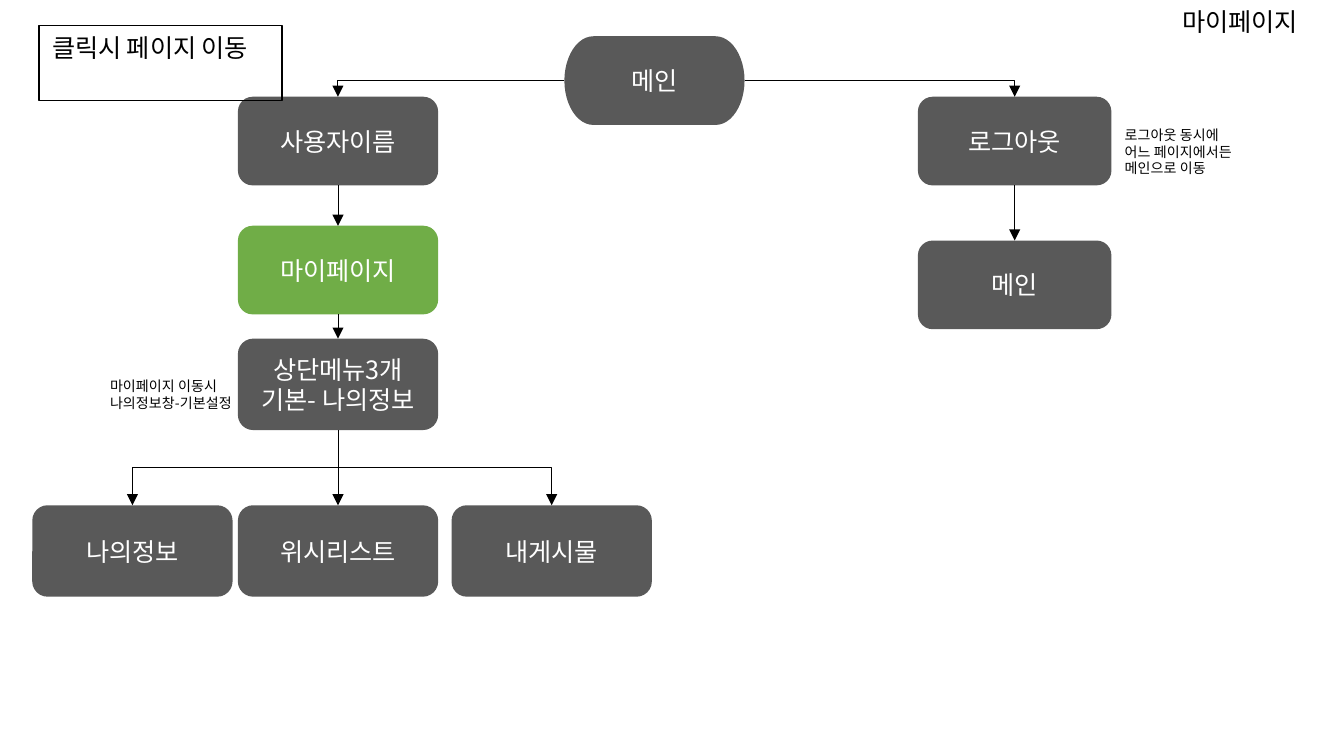
from lxml.etree import SubElement
from pptx import Presentation
from pptx.dml.color import RGBColor
from pptx.enum.shapes import MSO_CONNECTOR, MSO_SHAPE
from pptx.enum.text import MSO_ANCHOR, PP_ALIGN
from pptx.oxml.ns import qn
from pptx.util import Inches, Pt

FONT = "Noto Sans CJK KR"
GRAY = RGBColor(0x59, 0x59, 0x59)
GREEN = RGBColor(0x70, 0xAD, 0x47)
WHITE = RGBColor(0xFF, 0xFF, 0xFF)
BLACK = RGBColor(0, 0, 0)
TOP, BOTTOM = 0, 2


def write(shape, lines, size=13.5, color=BLACK, align=PP_ALIGN.LEFT):
    frame = shape.text_frame
    frame.word_wrap = True
    for i, line in enumerate(lines):
        para = frame.add_paragraph() if i else frame.paragraphs[0]
        para.alignment = align
        run = para.add_run()
        run.text = line
        run.font.size = Pt(size)
        run.font.name = FONT
        run.font.color.rgb = color
        SubElement(run.font._element, qn("a:ea")).set("typeface", FONT)


def add_node(slide, box, *lines, fill=GRAY, kind=MSO_SHAPE.ROUNDED_RECTANGLE):
    node = slide.shapes.add_shape(kind, *map(Inches, box))
    node.shadow.inherit = False
    node.fill.solid()
    node.fill.fore_color.rgb = fill
    node.line.fill.background()
    frame = node.text_frame
    frame.vertical_anchor = MSO_ANCHOR.MIDDLE
    frame.margin_left = frame.margin_right = Inches(0.07)
    frame.margin_top = frame.margin_bottom = Inches(0.04)
    write(node, lines, color=WHITE, align=PP_ALIGN.CENTER)
    return node


def add_note(slide, box, *lines, size=7.5):
    write(slide.shapes.add_textbox(*map(Inches, box)), lines, size)


def add_arrow(slide, kind, *ends):
    arrow = slide.shapes.add_connector(kind, *map(int, ends))
    arrow.line.color.rgb = BLACK
    arrow.line.width = Pt(0.5)
    SubElement(arrow.line._get_or_add_ln(), qn("a:tailEnd")).set("type", "triangle")
    SubElement(arrow._element.spPr, qn("a:effectLst"))
    return arrow


def middle(node):
    return node.left + node.width // 2


def link_down(slide, upper, lower):
    arrow = add_arrow(slide, MSO_CONNECTOR.STRAIGHT, middle(upper),
                      upper.top + upper.height, middle(lower), lower.top)
    arrow.begin_connect(upper, BOTTOM)
    arrow.end_connect(lower, TOP)


def link_side(slide, root, child):
    """Run sideways from the root, then turn down into the child."""
    x = middle(child)
    start = root.left if x < root.left else root.left + root.width
    arrow = add_arrow(slide, MSO_CONNECTOR.ELBOW, start,
                      root.top + root.height // 2, x, child.top)
    arrow._element.spPr.find(qn("a:prstGeom")).set("prst", "bentConnector2")


def link_fork(slide, upper, lower):
    """Run down, across and down again: an elbow turned by a quarter."""
    x1, x2 = middle(upper), middle(lower)
    y1, y2 = upper.top + upper.height, lower.top
    mid_x, mid_y = (x1 + x2) / 2, (y1 + y2) / 2
    half_w, half_h = (y2 - y1) / 2, abs(x2 - x1) / 2
    right = x2 > x1
    if right:
        half_w = -half_w
    arrow = add_arrow(slide, MSO_CONNECTOR.ELBOW, mid_x - half_w, mid_y - half_h,
                      mid_x + half_w, mid_y + half_h)
    turn = 270 if right else 90
    arrow._element.spPr.find(qn("a:xfrm")).set("rot", str(turn * 60000))


def add_user(slide, x, y):
    """Place the user branch and return its first node."""
    wide = 1.49
    user = add_node(slide, (x, y, wide, 0.66), "사용자이름")
    page = add_node(slide, (x, y + 0.96, wide, 0.66), "마이페이지", fill=GREEN)
    menu = add_node(slide, (x, y + 1.8, wide, 0.68), "상단메뉴3개", "기본- 나의정보")
    info, wish, posts = [
        add_node(slide, (x + dx, y + 3.04, wide, 0.68), name)
        for dx, name in ((-1.53, "나의정보"), (0, "위시리스트"), (1.59, "내게시물"))
    ]
    for upper, lower in ((user, page), (page, menu), (menu, wish)):
        link_down(slide, upper, lower)
    for leaf in (posts, info):
        link_fork(slide, menu, leaf)
    add_note(slide, (x - 1.05, y + 2.04, 1.15, 0.48),
             "마이페이지 이동시", "나의정보창-기본설정")
    return user


def add_logout(slide, x, y):
    """Place the logout branch and return its first node."""
    wide, high = 1.44, 0.66
    logout = add_node(slide, (x, y, wide, high), "로그아웃")
    home = add_node(slide, (x, y + 1.07, wide, high), "메인")
    link_down(slide, logout, home)
    add_note(slide, (x + wide, y + 0.17, 1.45, 0.48),
             "로그아웃 동시에", "어느 페이지에서든", "메인으로 이동")
    return logout


def add_legend(slide, box):
    legend = slide.shapes.add_shape(MSO_SHAPE.RECTANGLE, *map(Inches, box))
    legend.shadow.inherit = False
    legend.fill.background()
    legend.line.color.rgb = BLACK
    legend.line.width = Pt(0.75)
    legend.text_frame.vertical_anchor = MSO_ANCHOR.TOP
    write(legend, ["클릭시 페이지 이동"])


def main():
    deck = Presentation()
    deck.slide_width = Inches(10)
    deck.slide_height = deck.slide_width * 9 // 16
    slide = deck.slides.add_slide(deck.slide_layouts[6])
    root = add_node(slide, (4.2, 0.27, 1.34, 0.66), "메인",
                    kind=MSO_SHAPE.FLOWCHART_TERMINATOR)
    for branch in (add_user(slide, 1.77, 0.72), add_logout(slide, 6.83, 0.72)):
        link_side(slide, root, branch)
    add_legend(slide, (0.29, 0.19, 1.81, 0.56))
    add_note(slide, (8.7, 0, 1.15, 0.33), "마이페이지", size=13.5)
    deck.save("out.pptx")


if __name__ == "__main__":
    main()
